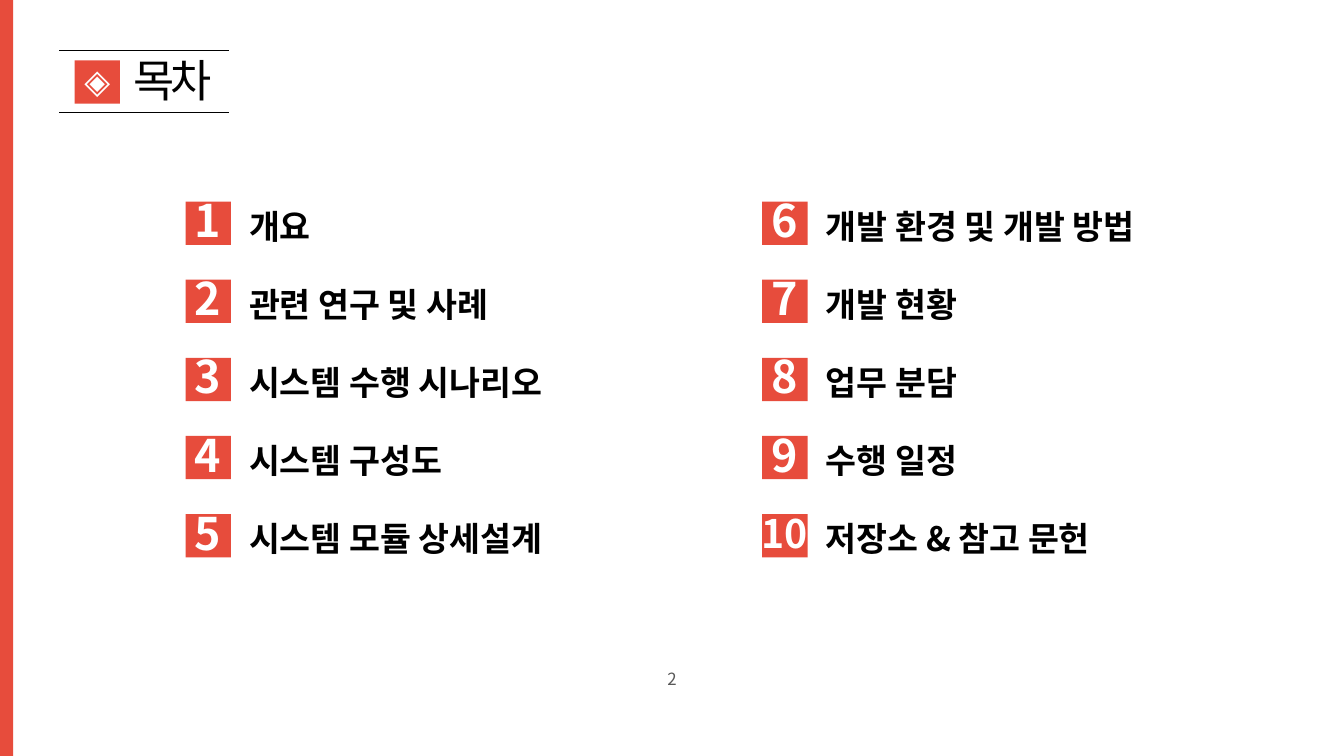
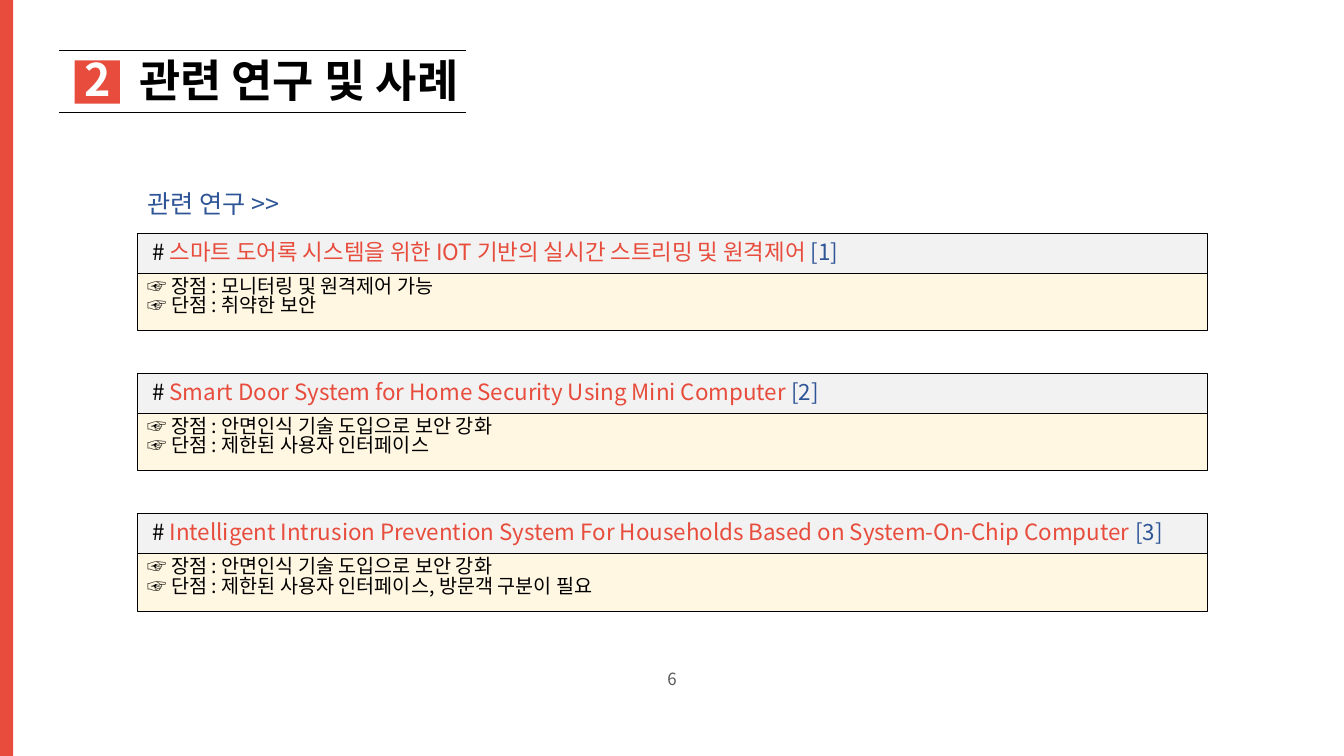
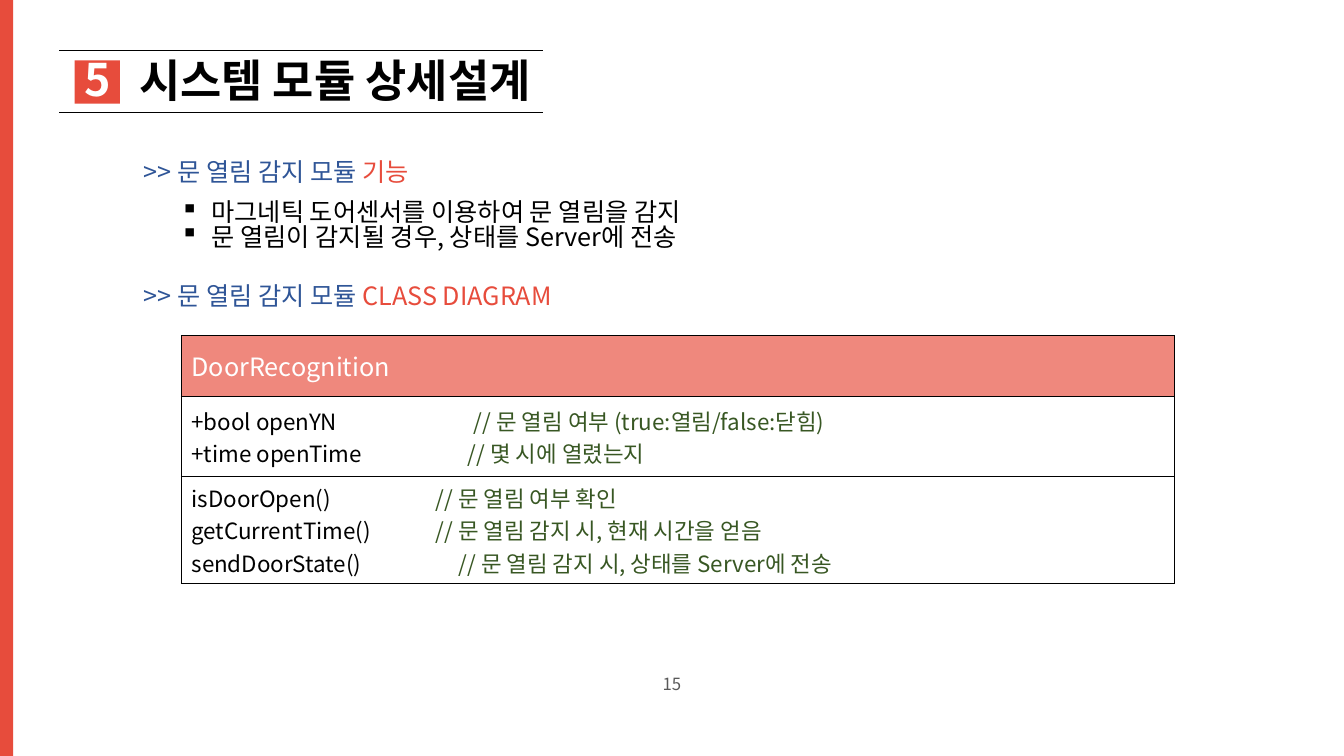
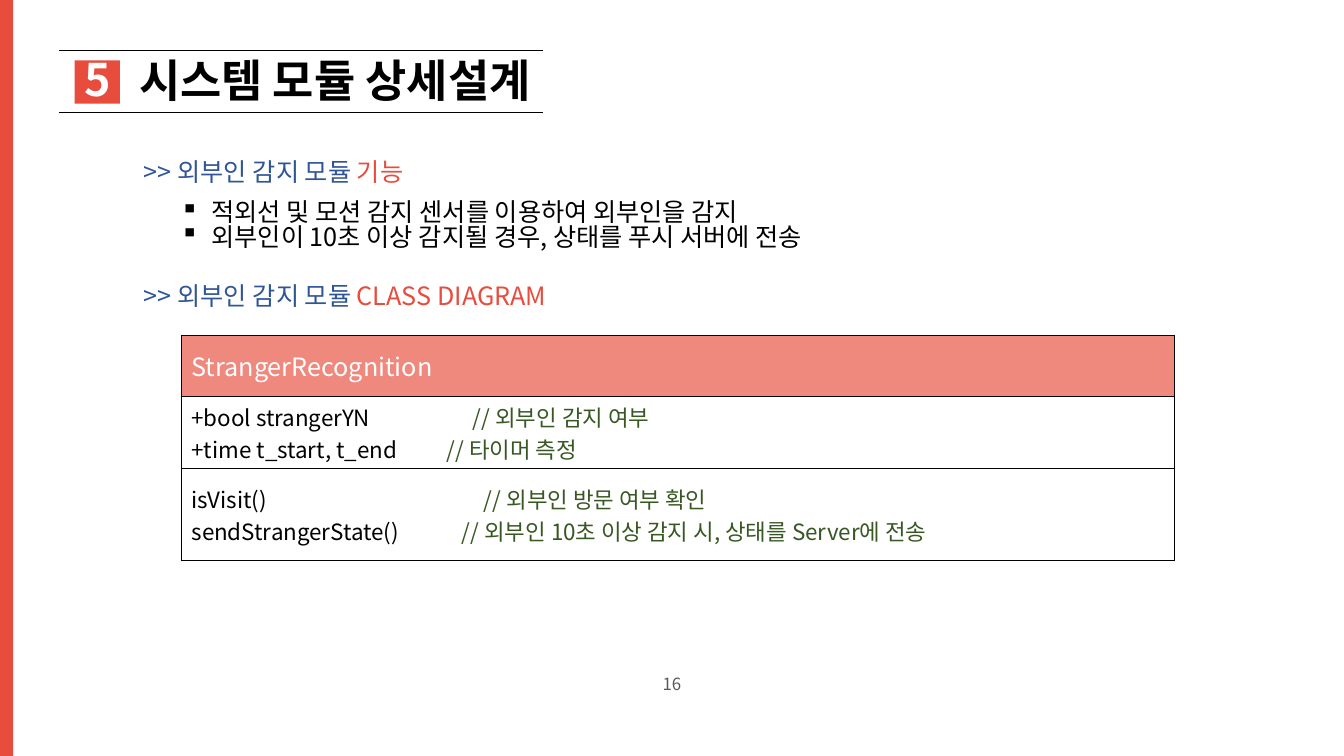
from dataclasses import dataclass

from lxml import etree
from pptx import Presentation
from pptx.dml.color import RGBColor
from pptx.enum.shapes import MSO_CONNECTOR, MSO_SHAPE
from pptx.enum.text import MSO_ANCHOR, PP_ALIGN
from pptx.oxml.ns import qn
from pptx.util import Inches, Pt

RECTANGLE = MSO_SHAPE.RECTANGLE
PROCESS = MSO_SHAPE.FLOWCHART_PROCESS
STRAIGHT = MSO_CONNECTOR.STRAIGHT
TOP, MIDDLE = MSO_ANCHOR.TOP, MSO_ANCHOR.MIDDLE
LEFT, CENTER = PP_ALIGN.LEFT, PP_ALIGN.CENTER


@dataclass(frozen=True)
class Theme:
    font: str = "Noto Sans CJK KR"
    red: str = "E74C3C"
    pale_red: str = "EF887D"
    blue: str = "2F5597"
    green: str = "385723"
    cream: str = "FFF7E1"
    light_grey: str = "F2F2F2"
    grey: str = "595959"
    black: str = "000000"
    white: str = "FFFFFF"
    title: int = 32
    label: int = 24
    heading: int = 18
    body: int = 16
    note: int = 14
    page: int = 12
    single: float = 0.9
    tight: float = 0.82


THEME = Theme()
WIDTH, HEIGHT = 13.33, 7.5
BADGE = (0.45, 0.43)

CONTENTS = [
    ["개요", "관련 연구 및 사례", "시스템 수행 시나리오", "시스템 구성도", "시스템 모듈 상세설계"],
    ["개발 환경 및 개발 방법", "개발 현황", "업무 분담", "수행 일정", "저장소 & 참고 문헌"],
]

STUDIES = [
    ("스마트 도어록 시스템을 위한 IOT 기반의 실시간 스트리밍 및 원격제어",
     "모니터링 및 원격제어 가능", "취약한 보안"),
    ("Smart Door System for Home Security Using Mini Computer",
     "안면인식 기술 도입으로 보안 강화", "제한된 사용자 인터페이스"),
    ("Intelligent Intrusion Prevention System For Households Based on System-On-Chip Computer",
     "안면인식 기술 도입으로 보안 강화", "제한된 사용자 인터페이스, 방문객 구분이 필요"),
]

# Each class member is (code, comment, tab stop of the comment in inches).
MODULES = [
    {
        "page": 15,
        "name": "문 열림 감지 모듈",
        "functions": ["마그네틱 도어센서를 이용하여 문 열림을 감지",
                      "문 열림이 감지될 경우, 상태를 Server에 전송"],
        "class": "DoorRecognition",
        "members": [
            [("+bool openYN", "// 문 열림 여부 (true:열림/false:닫힘)", 2.8),
             ("+time openTime", "// 몇 시에 열렸는지", 2.74)],
            [("isDoorOpen()", "// 문 열림 여부 확인", 2.42),
             ("getCurrentTime()", "// 문 열림 감지 시, 현재 시간을 얻음", 2.42),
             ("sendDoorState()", "// 문 열림 감지 시, 상태를 Server에 전송", 2.65)],
        ],
        "rows": [0.6, 0.8, 1.06],
    },
    {
        "page": 16,
        "name": "외부인 감지 모듈",
        "functions": ["적외선 및 모션 감지 센서를 이용하여 외부인을 감지",
                      "외부인이 10초 이상 감지될 경우, 상태를 푸시 서버에 전송"],
        "class": "StrangerRecognition",
        "members": [
            [("+bool strangerYN", "// 외부인 감지 여부", 2.79),
             ("+time t_start, t_end", "// 타이머 측정", 2.53)],
            [("isVisit()", "// 외부인 방문 여부 확인", 2.9),
             ("sendStrangerState()", "// 외부인 10초 이상 감지 시, 상태를 Server에 전송", 2.68)],
        ],
        "rows": [0.6, 0.72, 0.91],
    },
]


def color(value):
    return RGBColor.from_string(value)


def inches(*lengths):
    return [Inches(length) for length in lengths]


def add_xml(parent, tag, **attributes):
    return etree.SubElement(parent, qn(tag), attributes)


def write(frame, paras, size, bold=False, align=LEFT, spacing=THEME.single,
          anchor=TOP, margins=(0.1, 0.05), wrap=True):
    """Fill a frame or cell text; each paragraph is a list of (text, colour) spans."""
    side, edge = inches(*margins)
    settings = {"word_wrap": wrap, "vertical_anchor": anchor,
                "margin_left": side, "margin_right": side,
                "margin_top": edge, "margin_bottom": edge}
    for name, value in settings.items():
        setattr(frame, name, value)
    for index, spans in enumerate(paras):
        para = frame.add_paragraph() if index else frame.paragraphs[0]
        para.alignment, para.line_spacing = align, spacing
        for text, tint in spans:
            span = para.add_run()
            span.text = text
            for name, value in {"name": THEME.font, "size": Pt(size), "bold": bold}.items():
                setattr(span.font, name, value)
            span.font.color.rgb = color(tint)
            add_xml(span._r.get_or_add_rPr(), "a:ea", typeface=THEME.font)


def add_text(page, at, paras, size, **style):
    box = page.shapes.add_textbox(*inches(*at))
    write(box.text_frame, paras, size, **style)
    return box


def add_block(page, at, fill, outlined=False, kind=RECTANGLE):
    block = page.shapes.add_shape(kind, *inches(*at))
    block.shadow.inherit = False
    block.fill.solid()
    block.fill.fore_color.rgb = color(fill)
    if outlined:
        block.line.color.rgb = color(THEME.black)
        block.line.width = Pt(0.25)
    else:
        block.line.fill.background()
    return block


def add_badge(page, left, top, text, size=THEME.title):
    badge = add_block(page, (left, top, *BADGE), THEME.red)
    write(badge.text_frame, [[(text, THEME.white)]], size, bold=True, align=CENTER,
          anchor=MIDDLE, margins=(0, 0), wrap=False)


def add_rule(page, left, right, top):
    rule = page.shapes.add_connector(STRAIGHT, *inches(left, top, right, top))
    rule.line.color.rgb = color(THEME.black)
    rule.line.width = Pt(0.5)
    add_xml(rule._element.spPr, "a:effectLst")


def add_page(deck, mark, title, rule_end, number, number_top=6.55, mark_size=THEME.title,
             bold=True, title_left=1.38):
    """Start a slide with the side band, ruled title, badge and page number."""
    page = deck.slides.add_slide(deck.slide_layouts[5])
    add_block(page, (0, 0, 0.13, HEIGHT), THEME.red)
    for top in (0.5, 1.11):
        add_rule(page, 0.59, rule_end, top)
    add_badge(page, 0.74, 0.6, mark, mark_size)
    heading = page.shapes.title
    place = inches(title_left, 0.5, rule_end - title_left, 0.64)
    for name, value in zip(("left", "top", "width", "height"), place):
        setattr(heading, name, value)
    write(heading.text_frame, [[(title, THEME.black)]], THEME.title, bold=bold,
          anchor=MIDDLE, margins=(0, 0), wrap=False)
    add_text(page, (WIDTH / 2 - 1.5, number_top, 3, 0.4), [[(str(number), THEME.grey)]],
             THEME.page, align=CENTER, anchor=MIDDLE)
    return page


def build_contents(deck):
    page = add_page(deck, "◈", "목차", 2.27, 2, mark_size=THEME.label, bold=False,
                    title_left=1.32)
    title_span = page.shapes.title.text_frame.paragraphs[0].runs[0]
    title_span._r.get_or_add_rPr().set("spc", "-300")
    for column, labels in enumerate(CONTENTS):
        left = 1.84 + column * 5.72
        for row, label in enumerate(labels):
            top = 2 + row * 0.775
            number = column * len(labels) + row + 1
            add_badge(page, left, top, str(number), THEME.title if number < 10 else 28)
            add_text(page, (left + 0.63, top + 0.05, 4.4, BADGE[1]), [[(label, THEME.black)]],
                     THEME.label, bold=True, anchor=MIDDLE, margins=(0, 0))


def build_studies(deck):
    page = add_page(deck, "2", "관련 연구 및 사례", 4.62, 6)
    left, width = 1.36, 10.61
    add_text(page, (left, 1.85, 4.68, 0.4), [[("관련 연구 >>", THEME.blue)]], THEME.heading)
    for index, (study, strength, weakness) in enumerate(STUDIES):
        top = 2.31 + index * 1.39
        header = add_block(page, (left, top, width, 0.4), THEME.light_grey, True, PROCESS)
        write(header.text_frame,
              [[("# ", THEME.black), (study + " ", THEME.red), (f"[{index + 1}]", THEME.blue)]],
              THEME.body, anchor=MIDDLE, margins=(0.15, 0.05))
        body = add_block(page, (left, top + 0.4, width, 0.57), THEME.cream, True)
        write(body.text_frame,
              [[(f"☞ 장점 : {strength}", THEME.black)], [(f"☞ 단점 : {weakness}", THEME.black)]],
              THEME.note, spacing=THEME.tight)


def add_bullets(page, at, lines):
    box = add_text(page, at, [[(line, THEME.black)] for line in lines], THEME.heading,
                   spacing=THEME.tight)
    indent = Inches(0.31)
    for para in box.text_frame.paragraphs:
        properties = para._p.get_or_add_pPr()
        properties.set("marL", str(indent))
        properties.set("indent", str(-indent))
        add_xml(properties, "a:buChar", char="▪")


def format_cell(cell, fill):
    properties = cell._tc.get_or_add_tcPr()
    for side in ("a:lnL", "a:lnR", "a:lnT", "a:lnB"):
        border = add_xml(properties, side, w=str(Pt(1)))
        add_xml(add_xml(border, "a:solidFill"), "a:srgbClr", val=THEME.black)
    cell.fill.solid()
    cell.fill.fore_color.rgb = color(fill)


def add_class_table(page, module):
    heights = module["rows"]
    table = page.shapes.add_table(len(heights), 1,
                                  *inches(1.8, 3.33, 9.85, sum(heights))).table
    table.first_row = table.horz_banding = False
    for row, height in zip(table.rows, heights):
        row.height = Inches(height)
    style = {"anchor": MIDDLE, "spacing": 1.0, "margins": (0.1, 0.04)}

    def fill_cell(row, fill, paras, size):
        cell = table.cell(row, 0)
        format_cell(cell, fill)
        cell.vertical_anchor = style["anchor"]
        cell.margin_top = cell.margin_bottom = Inches(style["margins"][1])
        write(cell.text_frame, paras, size, **style)
        return cell

    fill_cell(0, THEME.pale_red, [[(module["class"], THEME.white)]], THEME.heading)
    for row, members in enumerate(module["members"], 1):
        paras = [[(code + "\t", THEME.black), (comment, THEME.green)]
                 for code, comment, _ in members]
        cell = fill_cell(row, THEME.white, paras, THEME.body)
        for para, (_, _, stop) in zip(cell.text_frame.paragraphs, members):
            tabs = add_xml(para._p.get_or_add_pPr(), "a:tabLst")
            add_xml(tabs, "a:tab", pos=str(Inches(stop)), algn="l")


def build_module(deck, module):
    page = add_page(deck, "5", "시스템 모듈 상세설계", 5.39, module["page"], number_top=6.6)
    for top, topic in ((1.54, "기능"), (2.77, "CLASS DIAGRAM")):
        add_text(page, (1.33, top, 5.86, 0.4),
                 [[(f">> {module['name']} ", THEME.blue), (topic, THEME.red)]], THEME.heading)
    add_bullets(page, (1.69, 1.95, 8.52, 0.71), module["functions"])
    add_class_table(page, module)


def main():
    deck = Presentation()
    deck.slide_width, deck.slide_height = inches(WIDTH, HEIGHT)
    build_contents(deck)
    build_studies(deck)
    for module in MODULES:
        build_module(deck, module)
    deck.save("out.pptx")


if __name__ == "__main__":
    main()
